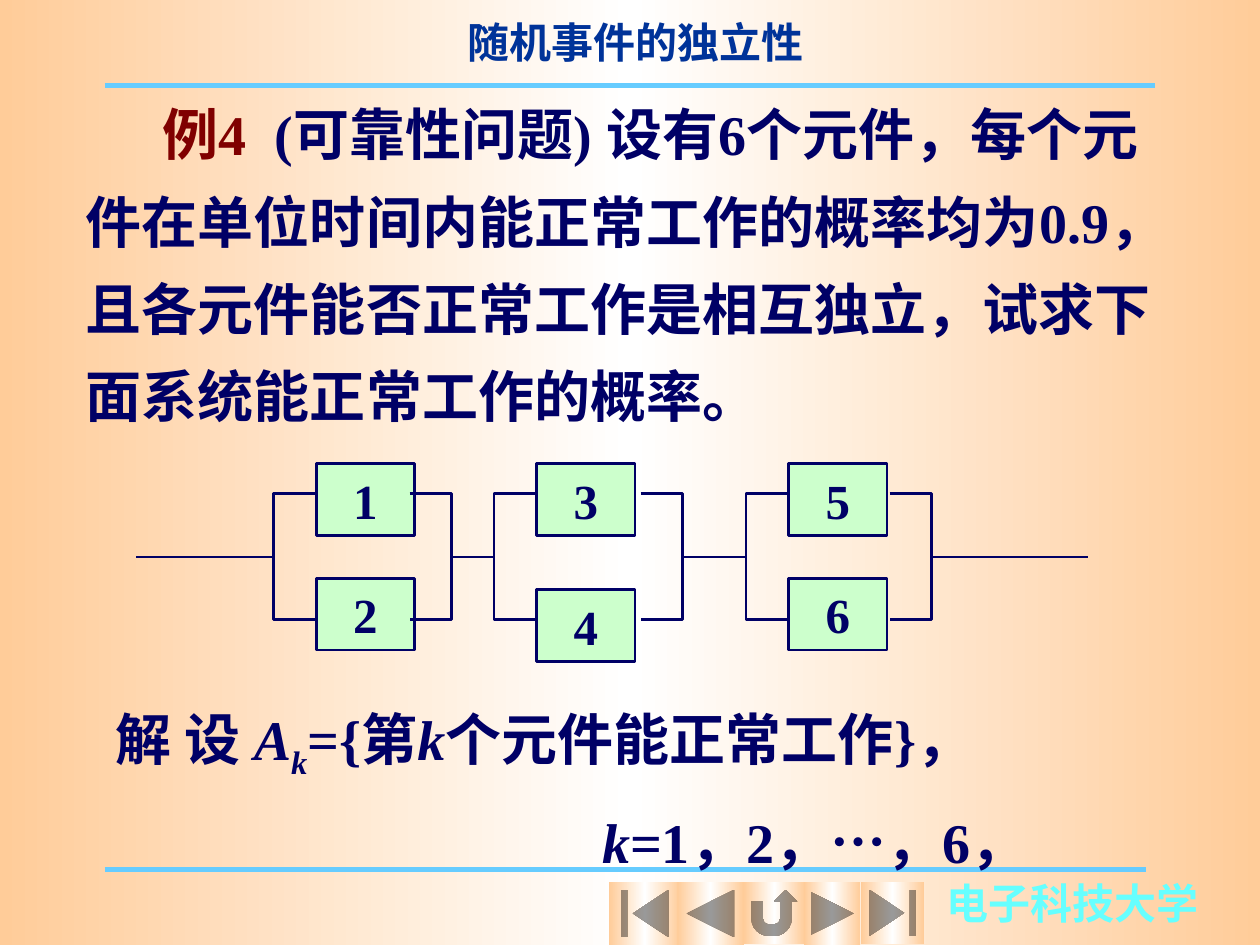
from copy import deepcopy
from dataclasses import dataclass
from itertools import pairwise

from lxml import etree
from pptx import Presentation
from pptx import util as u
from pptx.dml.color import RGBColor
from pptx.enum import lang, shapes, text
from pptx.oxml.ns import qn


@dataclass(frozen=True)
class Theme:
    font: str = "Times New Roman"
    ink: str = "000066"
    title: str = "003399"
    example: str = "800000"
    rule: str = "66CCFF"
    school: str = "66FFFF"
    component: str = "CCFFCC"
    gradient: tuple = ((0, "FFCC99"), (0.5, "FFFFFF"), (1, "FFCC99"))
    header_size: float = 24
    body_size: float = 32
    label_size: float = 28
    rule_width: float = 3
    wire_width: float = 1.5


@dataclass(frozen=True)
class Piece:
    """A run of text with its own look."""
    text: str
    color: str = Theme.ink
    size: float = Theme.body_size
    italic: bool = False
    subscript: bool = False


@dataclass(frozen=True)
class Stage:
    """Two parallel components between a left and a right bracket."""
    labels: tuple
    box_x: float
    lower_y: float
    left: float
    right: float


@dataclass(frozen=True)
class Button:
    kind: shapes.MSO_SHAPE
    left: float
    width: float
    height: float


THEME = Theme()
BOX_WIDTH, BOX_HEIGHT, UPPER_Y = 56.2, 41, 265
RAIL_TOP, RAIL_MIDDLE, RAIL_BOTTOM = 282.2, 318.2, 354.2
BRACKET = 24
CIRCUIT_START, CIRCUIT_END = 78, 622

STAGES = (
    Stage(("1", "2"), 180.7, 330.5, 156.2, 258),
    Stage(("3", "4"), 306.7, 337, 282.2, 390),
    Stage(("5", "6"), 450.7, 330.5, 426.2, 532.3),
)
BUTTONS = (
    Button(shapes.MSO_SHAPE.ACTION_BUTTON_BEGINNING, 348, 41, 36),
    Button(shapes.MSO_SHAPE.ACTION_BUTTON_BACK_OR_PREVIOUS, 387, 38, 36),
    Button(shapes.MSO_SHAPE.ACTION_BUTTON_RETURN, 425, 35, 35.3),
    Button(shapes.MSO_SHAPE.ACTION_BUTTON_FORWARD_OR_NEXT, 459.4, 32.4, 36),
    Button(shapes.MSO_SHAPE.ACTION_BUTTON_END, 492, 36, 35.3),
)


def rgb(color: str) -> RGBColor:
    return RGBColor.from_string(color)


def set_gradient(fill, element) -> None:
    """Apply the three-stop theme gradient to a fill held inside element."""
    fill.gradient()
    fill.gradient_angle = 0
    stops = next(element.iter(qn("a:gsLst")))
    stops.append(deepcopy(stops[-1]))
    for stop, (position, color) in zip(fill.gradient_stops, THEME.gradient):
        stop.position = position
        stop.color.rgb = rgb(color)


def write(paragraph, pieces, first_indent: float = 0, margin: float = 0,
          tab: float | None = None) -> None:
    properties = paragraph._p.get_or_add_pPr()
    properties.set("marL", str(u.Pt(margin)))
    properties.set("indent", str(u.Pt(first_indent)))
    if tab is not None:
        tabs = etree.SubElement(properties, qn("a:tabLst"))
        etree.SubElement(tabs, qn("a:tab"), pos=str(u.Pt(tab)), algn="l")
    for piece in pieces:
        run = paragraph.add_run()
        run.text = piece.text
        font = run.font
        font.name, font.size, font.bold = THEME.font, u.Pt(piece.size), True
        font.italic = piece.italic
        font.color.rgb = rgb(piece.color)
        font.language_id = lang.MSO_LANGUAGE_ID.SIMPLIFIED_CHINESE
        if piece.subscript:
            font._element.set("baseline", "-25000")


def add_text(slide, left: float, top: float, width: float, height: float):
    frame = slide.shapes.add_textbox(
        u.Pt(left), u.Pt(top), u.Pt(width), u.Pt(height)).text_frame
    frame.word_wrap = True
    return frame


def add_line(slide, start: float, end: float, y: float, color: str, width: float) -> None:
    line = slide.shapes.add_connector(
        shapes.MSO_CONNECTOR.STRAIGHT, u.Pt(start), u.Pt(y), u.Pt(end), u.Pt(y))
    line.line.color.rgb = rgb(color)
    line.line.width = u.Pt(width)
    etree.SubElement(line._element.spPr, qn("a:effectLst"))


def add_component(slide, label: str, left: float, top: float) -> None:
    shape = slide.shapes.add_shape(
        shapes.MSO_SHAPE.RECTANGLE,
        u.Pt(left), u.Pt(top), u.Pt(BOX_WIDTH), u.Pt(BOX_HEIGHT))
    shape.shadow.inherit = False
    shape.fill.solid()
    shape.fill.fore_color.rgb = rgb(THEME.component)
    shape.line.color.rgb = rgb(THEME.ink)
    shape.line.width = u.Pt(THEME.wire_width)
    shape.text_frame.vertical_anchor = text.MSO_ANCHOR.MIDDLE
    paragraph = shape.text_frame.paragraphs[0]
    paragraph.alignment = text.PP_ALIGN.CENTER
    write(paragraph, [Piece(label, size=THEME.label_size)])


def add_bracket(slide, spine: float, tip: float) -> None:
    builder = slide.shapes.build_freeform(u.Pt(tip), u.Pt(RAIL_TOP))
    corners = ((spine, RAIL_TOP), (spine, RAIL_BOTTOM), (tip, RAIL_BOTTOM))
    builder.add_line_segments([(u.Pt(x), u.Pt(y)) for x, y in corners], close=False)
    shape = builder.convert_to_shape()
    shape.shadow.inherit = False
    shape.fill.background()
    shape.line.color.rgb = rgb(THEME.ink)
    shape.line.width = u.Pt(THEME.wire_width)


def add_circuit(slide) -> None:
    for stage in STAGES:
        for label, top in zip(stage.labels, (UPPER_Y, stage.lower_y)):
            add_component(slide, label, stage.box_x, top)
        add_bracket(slide, stage.left, stage.left + BRACKET)
        add_bracket(slide, stage.right, stage.right - BRACKET)
    ends = [CIRCUIT_START, *(x for s in STAGES for x in (s.left, s.right)), CIRCUIT_END]
    for start, end in list(pairwise(ends))[::2]:
        add_line(slide, start, end, RAIL_MIDDLE, THEME.ink, THEME.wire_width)


def add_button(slide, button: Button) -> None:
    shape = slide.shapes.add_shape(
        button.kind, u.Pt(button.left), u.Pt(504), u.Pt(button.width), u.Pt(button.height))
    shape.shadow.inherit = False
    set_gradient(shape.fill, shape._element)
    shape.line.fill.background()


def main() -> None:
    presentation = Presentation()
    presentation.slide_width, presentation.slide_height = u.Pt(720), u.Pt(540)
    slide = presentation.slides.add_slide(presentation.slide_layouts[6])
    set_gradient(slide.background.fill, slide._element)

    add_line(slide, 60, 655, 496.8, THEME.rule, THEME.rule_width)
    add_line(slide, 60, 660, 49, THEME.rule, THEME.rule_width)
    school = add_text(slide, 533.5, 498.2, 170, 36)
    write(school.paragraphs[0], [Piece("电子科技大学", THEME.school, THEME.header_size)])
    title = add_text(slide, 228, 6, 270, 36).paragraphs[0]
    title.alignment = text.PP_ALIGN.CENTER
    write(title, [Piece("随机事件的独立性", THEME.title, THEME.header_size)])

    problem = add_text(slide, 42, 42, 636, 207).paragraphs[0]
    problem.line_spacing = 1.3
    write(problem, [
        Piece("例4", THEME.example),
        Piece("\t(可靠性问题) 设有6个元件，每个元件在单位时间内能正常工作的概率均为0.9，"
              "且各元件能否正常工作是相互独立，试求下面系统能正常工作的概率。"),
    ], first_indent=44, tab=115.5)

    add_circuit(slide)

    solution = add_text(slide, 30, 399, 690, 105)
    write(solution.paragraphs[0], [
        Piece("解 设\t"),
        Piece("A", italic=True),
        Piece("k", italic=True, subscript=True),
        Piece("={第"),
        Piece("k", italic=True),
        Piece("个元件能正常工作}，"),
    ], first_indent=29, tab=129.5)
    values = solution.add_paragraph()
    values.line_spacing = 1.4
    write(values, [Piece("k", italic=True), Piece("=1，2，…，6，")], margin=307)

    for button in BUTTONS:
        add_button(slide, button)
    presentation.save("out.pptx")


if __name__ == "__main__":
    main()
